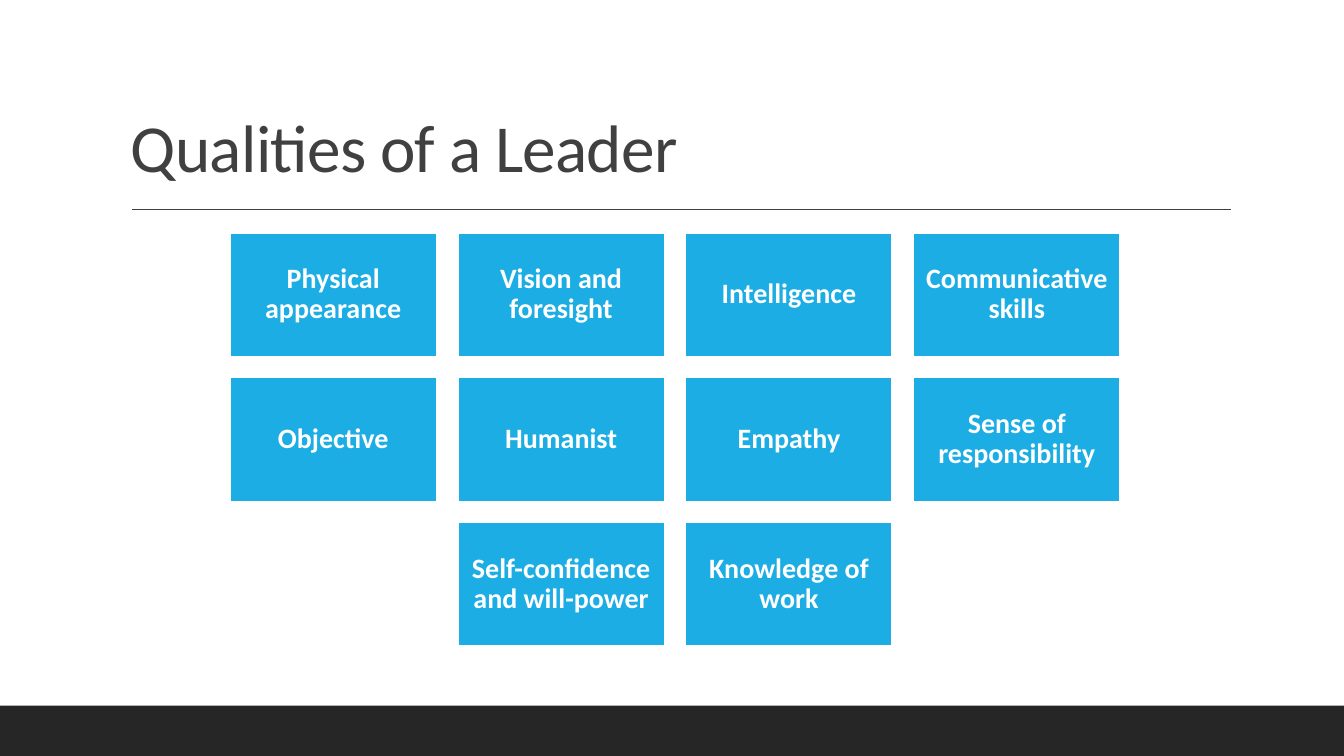
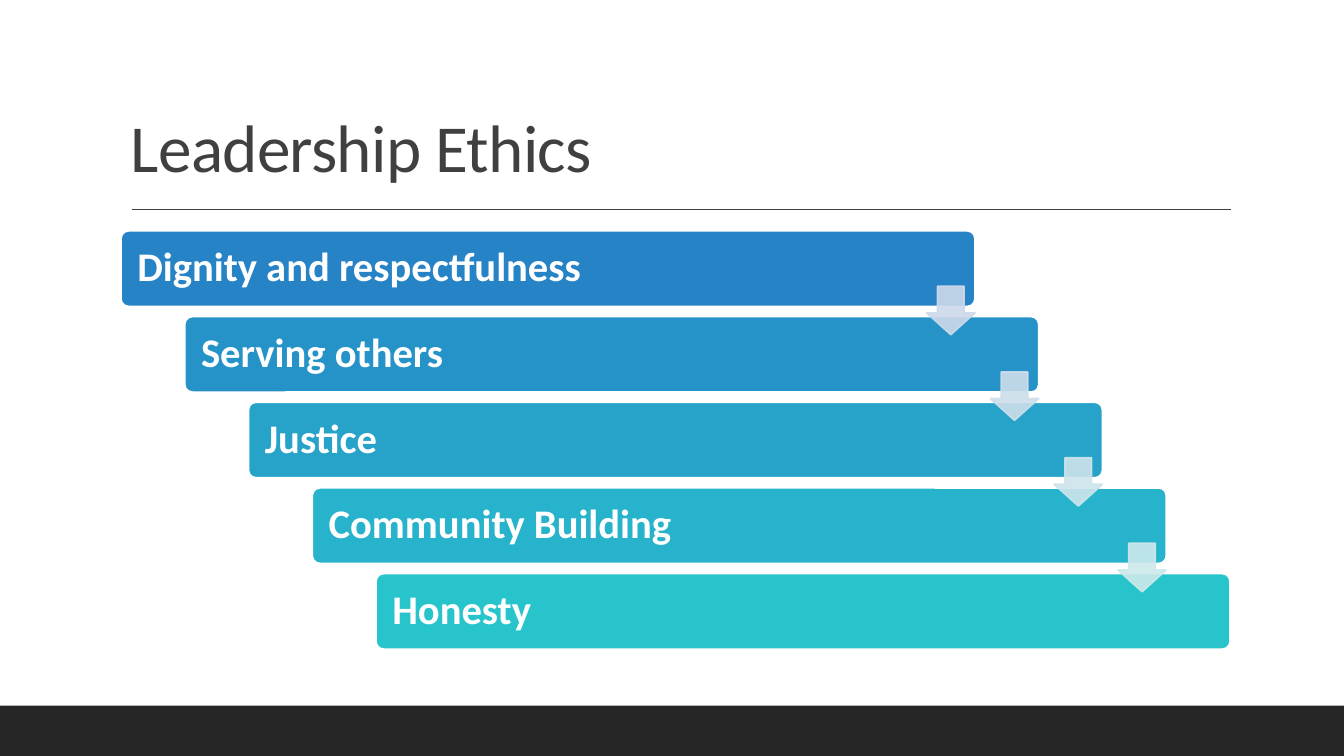
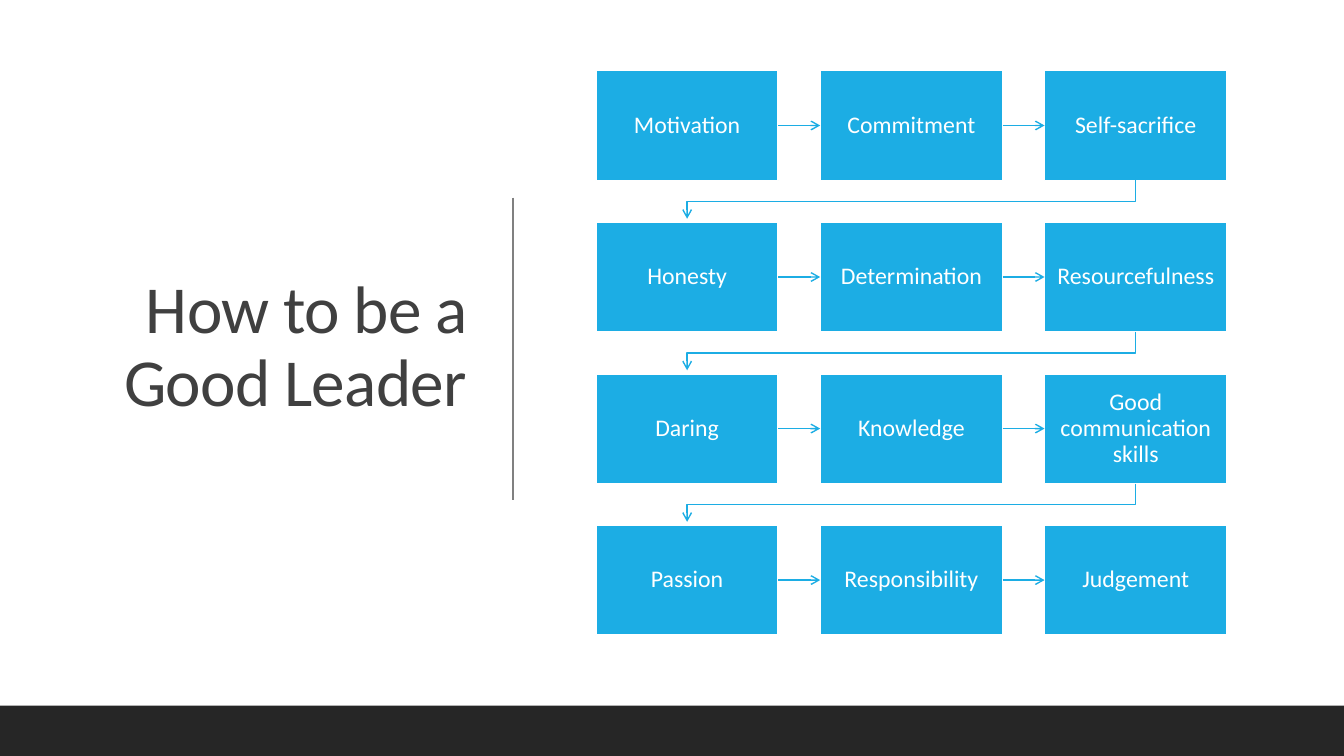
from lxml.etree import SubElement
from pptx import Presentation
from pptx.dml.color import RGBColor
from pptx.enum.shapes import MSO_CONNECTOR, MSO_SHAPE
from pptx.enum.text import MSO_ANCHOR, PP_ALIGN
from pptx.oxml.ns import qn
from pptx.util import Inches, Pt

RECT = MSO_SHAPE.RECTANGLE
ROUND = MSO_SHAPE.ROUNDED_RECTANGLE
DOWN = MSO_SHAPE.DOWN_ARROW
LINE = MSO_CONNECTOR.STRAIGHT
LEFT, CENTER, RIGHT = PP_ALIGN.LEFT, PP_ALIGN.CENTER, PP_ALIGN.RIGHT
MIDDLE, BOTTOM = MSO_ANCHOR.MIDDLE, MSO_ANCHOR.BOTTOM

WIDE, HIGH = 13.33, 7.5
FONT = "Calibri"
WHITE, DARK, INK, GREY, BLUE = "FFFFFF", "262626", "404040", "808080", "1CADE4"


def color(text):
    return RGBColor.from_string(text)


def inches(*sizes):
    return [Inches(size) for size in sizes]


def write(shape, text, size, tint=WHITE, bold=False, align=CENTER,
          anchor=MIDDLE, pad=(0.1, 0.05), space=None):
    frame = shape.text_frame
    frame.word_wrap = True
    frame.vertical_anchor = anchor
    frame.margin_left = frame.margin_right = Inches(pad[0])
    frame.margin_top = frame.margin_bottom = Inches(pad[1])
    para = frame.paragraphs[0]
    para.alignment = align
    para.line_spacing = 0.9
    run = para.add_run()
    run.text = text
    run.font.name = FONT
    run.font.size = Pt(size)
    run.font.bold = bold
    run.font.color.rgb = color(tint)
    if space is not None:
        run._r.get_or_add_rPr().set("spc", str(space))


def block(slide, kind, box, fill, edge=None, adjust=()):
    shape = slide.shapes.add_shape(kind, *inches(*box))
    shape.shadow.inherit = False
    shape.fill.solid()
    shape.fill.fore_color.rgb = color(fill)
    if edge:
        shape.line.color.rgb = color(edge)
        shape.line.width = Pt(1.25)
    else:
        shape.line.fill.background()
    for index, value in enumerate(adjust):
        shape.adjustments[index] = value
    return shape


def fade(shape, percent):
    for tint in shape._element.spPr.iter(qn("a:srgbClr")):
        SubElement(tint, qn("a:alpha")).set("val", str(percent * 1000))


def stroke(shape, tint, arrow=False):
    shape.line.color.rgb = color(tint)
    shape.line.width = Pt(1)
    if arrow:
        SubElement(shape.line._get_or_add_ln(), qn("a:tailEnd")).set("type", "arrow")


def rule(slide, start, end, tint, arrow=False):
    line = slide.shapes.add_connector(LINE, *inches(*start, *end))
    stroke(line, tint, arrow)
    SubElement(line._element.spPr, qn("a:effectLst"))
    return line


def bend(slide, points, tint):
    path = [tuple(inches(*point)) for point in points]
    build = slide.shapes.build_freeform(*path[0])
    build.add_line_segments(path[1:], close=False)
    shape = build.convert_to_shape()
    shape.shadow.inherit = False
    shape.fill.background()
    stroke(shape, tint, arrow=True)


def start(deck, title, box, **style):
    slide = deck.slides.add_slide(deck.slide_layouts[6])
    block(slide, RECT, (0, 7, WIDE, 0.5), DARK)
    head = slide.shapes.add_textbox(*inches(*box))
    write(head, title, 48, tint=INK, space=-50, **style)
    return slide


def topic(deck, title):
    slide = start(deck, title, (1.2, 0.31, 11, 1.59), align=LEFT, anchor=BOTTOM)
    rule(slide, (1.31, 2.08), (12.21, 2.08), INK)
    return slide


def grid(slide, box, rows, cell, **style):
    left, top, width, height = box
    wide, high = cell
    most = max(len(row) for row in rows)
    across = (width - wide) / (most - 1)
    down = (height - high) / (len(rows) - 1)
    tiles = []
    for number, row in enumerate(rows):
        shift = left + (most - len(row)) * across / 2
        line = []
        for place, label in enumerate(row):
            spot = (shift + place * across, top + number * down, wide, high)
            tile = block(slide, RECT, spot, BLUE, WHITE)
            write(tile, label, **style)
            line.append(tile)
        tiles.append(line)
    return tiles


def stairs(slide, box, steps, arrows):
    left, top, width, height = box
    wide, high, side = 8.47, 0.75, 0.48
    across = (width - wide) / (len(steps) - 1)
    down = (height - high) / (len(steps) - 1)
    spots = [(left + i * across, top + i * down) for i in range(len(steps))]
    for (x, y), (label, fill) in zip(spots, steps):
        bar = block(slide, ROUND, (x, y, wide, high), fill, WHITE, [0.1])
        write(bar, label, 29, bold=True, align=LEFT, pad=(0.14, 0.12))
    for (x, y), fill in zip(spots, arrows):
        spot = (x + wide - side, y + 0.55, side, side)
        fade(block(slide, DOWN, spot, fill, fill, [0.55, 0.45]), 90)


def flow(slide, box, rows):
    left, top, width, height = box
    wide, high = 1.81, 1.09
    tiles = grid(slide, box, rows, (wide, high), size=17, pad=(0.09, 0.09))
    for line in tiles:
        for first, second in zip(line, line[1:]):
            link = rule(slide, (0, 0), (1, 1), BLUE, arrow=True)
            link.begin_connect(first, 3)
            link.end_connect(second, 1)
    down = (height - high) / (len(rows) - 1)
    near, far = left + wide / 2, left + width - wide / 2
    for number in range(len(rows) - 1):
        y = top + number * down + high
        bend(slide, [(far, y), (far, y + 0.21), (near, y + 0.21), (near, y + 0.38)], BLUE)


def traits(deck):
    slide = topic(deck, "Qualities of a Leader")
    rows = [
        ["Physical appearance", "Vision and foresight", "Intelligence", "Communicative skills"],
        ["Objective", "Humanist", "Empathy", "Sense of responsibility"],
        ["Self-confidence and will-power", "Knowledge of work"],
    ]
    grid(slide, (2.28, 2.31, 8.83, 4.1), rows, (2.05, 1.23),
         size=20, bold=True, pad=(0.08, 0.08))


def ethics(deck):
    slide = topic(deck, "Leadership Ethics")
    steps = [
        ("Dignity and respectfulness", "2683C6"),
        ("Serving others", "2693C8"),
        ("Justice", "27A3C9"),
        ("Community Building", "27B3CB"),
        ("Honesty", "28C4CC"),
    ]
    stairs(slide, (1.2, 2.29, 11, 4.15), steps, ["CDD9EA", "CDDEEB", "CDE4EC", "CDE9EC"])


def advice(deck):
    slide = start(deck, "How to be a Good Leader", (0.7, 0.69, 4.03, 5.53), align=RIGHT)
    rule(slide, (5.09, 1.96), (5.09, 4.96), GREY)
    rows = [
        ["Motivation", "Commitment", "Self-sacrifice"],
        ["Honesty", "Determination", "Resourcefulness"],
        ["Daring", "Knowledge", "Good communication skills"],
        ["Passion", "Responsibility", "Judgement"],
    ]
    flow(slide, (5.91, 0.7, 6.26, 5.6), rows)


def main():
    deck = Presentation()
    deck.slide_width, deck.slide_height = inches(WIDE, HIGH)
    traits(deck)
    ethics(deck)
    advice(deck)
    deck.save("out.pptx")


if __name__ == "__main__":
    main()
